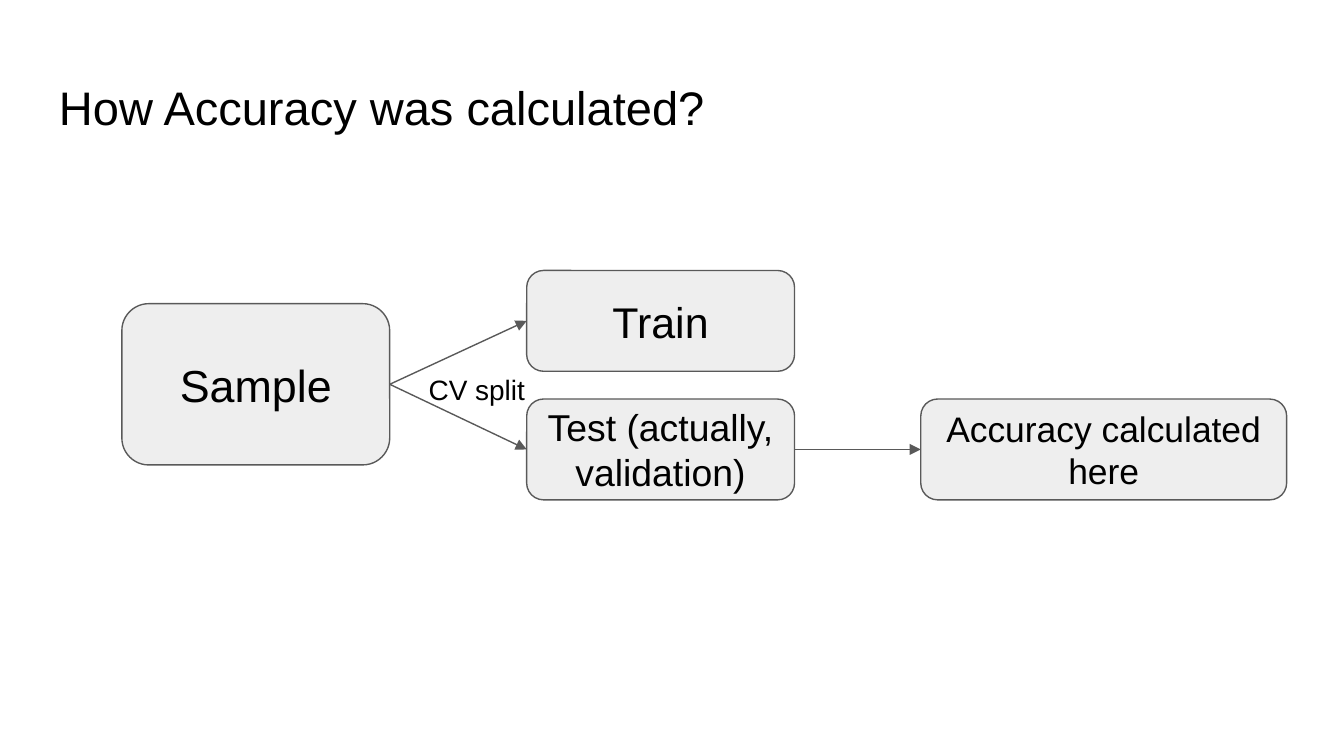
"""Build a slide showing how accuracy follows from a cross-validation split."""
import dataclasses

import lxml.etree
import pptx
import pptx.dml.color
import pptx.enum.shapes
import pptx.enum.text
import pptx.oxml.ns
import pptx.util

Pt = pptx.util.Pt
RGBColor = pptx.dml.color.RGBColor
qn = pptx.oxml.ns.qn


@dataclasses.dataclass(frozen=True)
class Theme:
    font: str = "Arial"
    ink: RGBColor = RGBColor(0, 0, 0)
    fill: RGBColor = RGBColor(0xEE, 0xEE, 0xEE)
    line: RGBColor = RGBColor(0x59, 0x59, 0x59)
    line_width: float = 0.75
    title: float = 25.2
    sample: float = 24
    train: float = 23
    test: float = 20
    accuracy: float = 19
    label: float = 15


theme = Theme()


def write(shape, text, size):
    frame = shape.text_frame
    frame.text = text
    frame.word_wrap = True
    frame.margin_left = frame.margin_right = Pt(7.2)
    frame.margin_top = frame.margin_bottom = Pt(7.2)
    for span in frame.paragraphs[0].runs:
        span.font.name = theme.font
        span.font.size = Pt(size)
        span.font.color.rgb = theme.ink
    return frame


deck = pptx.Presentation()
deck.slide_width = Pt(720)
deck.slide_height = Pt(405)
page = deck.slides.add_slide(deck.slide_layouts[6])

for text, left, top, width, height, size in [
    ("How Accuracy was calculated?", 24.5, 35, 671, 45, theme.title),
    ("CV split", 222.5, 192.5, 73.5, 32.5, theme.label),
]:
    box = page.shapes.add_textbox(Pt(left), Pt(top), Pt(width), Pt(height))
    write(box, text, size)

split_left, split_height, test_top = 282.2, 54, 213.8
node_width = 143.5
nodes = {}
for name, text, left, top, width, height, size in [
    ("sample", "Sample", 65.3, 162.7, node_width, 86.4, theme.sample),
    ("train", "Train", split_left, 144.9, node_width, split_height, theme.train),
    ("test", "Test (actually, validation)", split_left, test_top, node_width, split_height, theme.test),
    ("accuracy", "Accuracy calculated here", 493.3, test_top, 196, split_height, theme.accuracy),
]:
    node = page.shapes.add_shape(
        pptx.enum.shapes.MSO_SHAPE.ROUNDED_RECTANGLE, Pt(left), Pt(top), Pt(width), Pt(height)
    )
    node.shadow.inherit = False
    node.fill.solid()
    node.fill.fore_color.rgb = theme.fill
    node.line.color.rgb = theme.line
    node.line.width = Pt(theme.line_width)
    frame = write(node, text, size)
    frame.vertical_anchor = pptx.enum.text.MSO_ANCHOR.MIDDLE
    frame.paragraphs[0].alignment = pptx.enum.text.PP_ALIGN.CENTER
    nodes[name] = node

left_site, right_site = 1, 3
for start, end in [("sample", "test"), ("sample", "train"), ("test", "accuracy")]:
    arrow = page.shapes.add_connector(pptx.enum.shapes.MSO_CONNECTOR.STRAIGHT, 0, 0, 0, 0)
    arrow.begin_connect(nodes[start], right_site)
    arrow.end_connect(nodes[end], left_site)
    arrow.line.color.rgb = theme.line
    arrow.line.width = Pt(theme.line_width)
    properties = arrow._element.spPr
    lxml.etree.SubElement(properties.find(qn("a:ln")), qn("a:tailEnd"), type="triangle")
    lxml.etree.SubElement(properties, qn("a:effectLst"))

deck.save("out.pptx")
